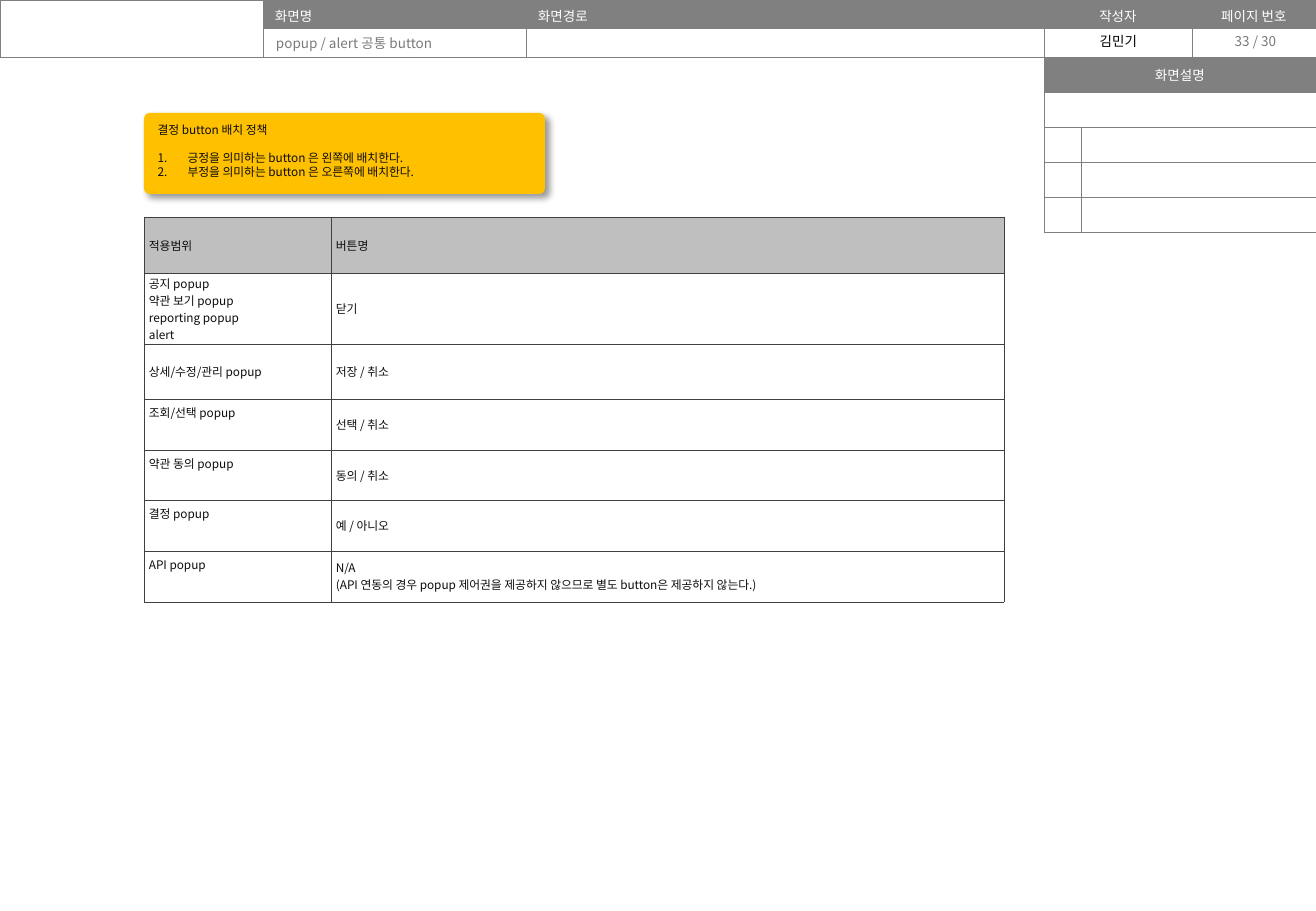
"""Build the button policy slide with its header, side panel and button table."""
from lxml import etree
from pptx import Presentation, util as u
from pptx.dml.color import RGBColor
from pptx.enum import shapes, text
from pptx.oxml import parse_xml
from pptx.oxml.ns import nsdecls, qn

PX = 7526
THEME = {
    "font": "Noto Sans CJK KR", "head": 8, "body": 7,
    "gray": "808080", "mute": "797979", "ink": "0D0D0D", "black": "000000",
    "white": "FFFFFF", "band": "BFBFBF", "edge": "404040", "note": "FFC000",
}
LEFT, MID = text.PP_ALIGN.LEFT, text.PP_ALIGN.CENTER
TOP, CORE = text.MSO_ANCHOR.TOP, text.MSO_ANCHOR.MIDDLE


def write(frame, words, size, hue, align=LEFT):
    """Fill a text frame with lines in one style."""
    frame.text = words
    for para in frame.paragraphs:
        para.alignment = align
        font = para.font
        font.size, font.name = u.Pt(THEME[size]), THEME["font"]
        font.color.rgb = RGBColor.from_string(THEME[hue])
        etree.SubElement(font._element, qn("a:ea"), typeface=THEME["font"])
        if not para.runs:
            end = para._p.get_or_add_endParaRPr()
            end.set("sz", str(THEME[size] * 100))


def table(spot, cols, rows, edge, width):
    """Add a plain ruled table."""
    x, y = spot
    frame = slide.shapes.add_table(
        len(rows), len(cols), x * PX, y * PX, sum(cols) * PX, sum(rows) * PX)
    grid = frame.table
    grid.first_row = grid.horz_banding = False
    for col, size in zip(grid.columns, cols):
        col.width = size * PX
    for row, size in zip(grid.rows, rows):
        row.height = size * PX
    for cell in grid.iter_cells():
        cell.fill.background()
        props = cell._tc.get_or_add_tcPr()
        for i, side in enumerate(("lnL", "lnR", "lnT", "lnB")):
            props.insert(i, parse_xml(
                f'<a:{side} {nsdecls("a")} w="{u.Pt(width)}"><a:solidFill>'
                f'<a:srgbClr val="{THEME[edge]}"/></a:solidFill></a:{side}>'))
    return grid


deck = Presentation()
deck.slide_width, deck.slide_height = 1316 * PX, 911 * PX
slide = deck.slides.add_slide(deck.slide_layouts[6])

titles = ["", "화면명", "화면경로", "작성자", "페이지 번호"]
head = table((0, 0), [263, 263, 518, 148, 124], [28, 29], "gray", 0.25)
for r in range(2):
    for c, title in enumerate(titles):
        cell = head.cell(r, c)
        cell.margin_left = cell.margin_right = 12 * PX
        cell.margin_top, cell.margin_bottom = 6 * PX, 0
        write(cell.text_frame, "" if r else title, "head", "white",
              MID if c > 2 else LEFT)
        if title and not r:
            cell.fill.solid()
            cell.fill.fore_color.rgb = RGBColor.from_string(THEME["gray"])
head.cell(0, 0).merge(head.cell(1, 0))

labels = [
    ((1044, 27, 149, 28), "김민기", "black", MID),
    ((1194, 27, 123, 29), "33 / 30", "mute", MID),
    ((264, 29, 265, 29), "popup / alert 공통 button", "mute", LEFT),
]
for spot, words, hue, align in labels:
    frame = slide.shapes.add_textbox(*[n * PX for n in spot]).text_frame
    frame.word_wrap = True
    frame.vertical_anchor = CORE
    frame.margin_left = frame.margin_right = 12 * PX
    frame.margin_top = frame.margin_bottom = 0
    write(frame, words, "head", hue, align)

side = table((1044, 57), [37, 235], [35] * 5, "gray", 0.25)
for i, cell in enumerate(side.iter_cells()):
    cell.fill.solid()
    cell.fill.fore_color.rgb = RGBColor.from_string(
        THEME["gray" if i < 2 else "white"])
    cell.vertical_anchor = CORE
    write(cell.text_frame, "" if i else "화면설명", "head", "white", MID)
for r in range(2):
    side.cell(r, 0).merge(side.cell(r, 1))

ranges = [
    ("적용범위", "버튼명", CORE),
    ("공지 popup\n약관 보기 popup\nreporting popup\nalert", "닫기", TOP),
    ("상세/수정/관리 popup", "저장 / 취소", CORE),
    ("조회/선택 popup", "선택 / 취소", TOP),
    ("약관 동의 popup", "동의 / 취소", TOP),
    ("결정 popup", "예 / 아니오", TOP),
    ("API popup", "N/A\n(API 연동의 경우 popup 제어권을 제공하지 않으므로 "
     "별도 button은 제공하지 않는다.)", TOP),
]
grid = table((144, 217), [187, 673], [56, 71, 55, 51, 50, 51, 51], "edge", 0.5)
for r, (scope, names, anchor) in enumerate(ranges):
    for c, words in enumerate((scope, names)):
        cell = grid.cell(r, c)
        cell.fill.solid()
        cell.fill.fore_color.rgb = RGBColor.from_string(
            THEME["white" if r else "band"])
        cell.margin_left = cell.margin_right = 5 * PX
        cell.margin_top = cell.margin_bottom = 5 * PX
        cell.vertical_anchor = CORE if c else anchor
        write(cell.text_frame, words, "body", "ink")
tall = grid.cell(1, 0)
tall.margin_top, tall.margin_bottom = 2 * PX, 0

note = slide.shapes.add_shape(
    shapes.MSO_SHAPE.ROUNDED_RECTANGLE, 144 * PX, 113 * PX, 401 * PX, 81 * PX)
note.adjustments[0] = 0.07
note.fill.solid()
note.fill.fore_color.rgb = RGBColor.from_string(THEME["note"])
note.line.fill.background()
note.shadow.inherit = False
note._element.spPr.find(qn("a:effectLst")).append(parse_xml(
    f'<a:outerShdw {nsdecls("a")} blurRad="{u.Pt(4)}" dist="{u.Pt(3)}" '
    f'dir="2700000" algn="tl" rotWithShape="0">'
    f'<a:srgbClr val="{THEME["black"]}"><a:alpha val="40000"/></a:srgbClr>'
    '</a:outerShdw>'))
frame = note.text_frame
frame.word_wrap = True
frame.vertical_anchor = TOP
frame.margin_left, frame.margin_top = 12 * PX, 8 * PX
write(frame, "결정 button 배치 정책\n긍정을 의미하는 button 은 왼쪽에 배치한다.\n"
      "부정을 의미하는 button 은 오른쪽에 배치한다.", "body", "ink")
for i, para in enumerate(frame.paragraphs):
    para.line_spacing = u.Pt(8.3)
    if i:
        props = para._p.get_or_add_pPr()
        props.set("marL", str(30 * PX))
        props.set("indent", str(-30 * PX))
        mark = etree.Element(qn("a:buAutoNum"), type="arabicPeriod")
        props.find(qn("a:defRPr")).addprevious(mark)
    else:
        para.space_after = u.Pt(8.3)

deck.save("out.pptx")
